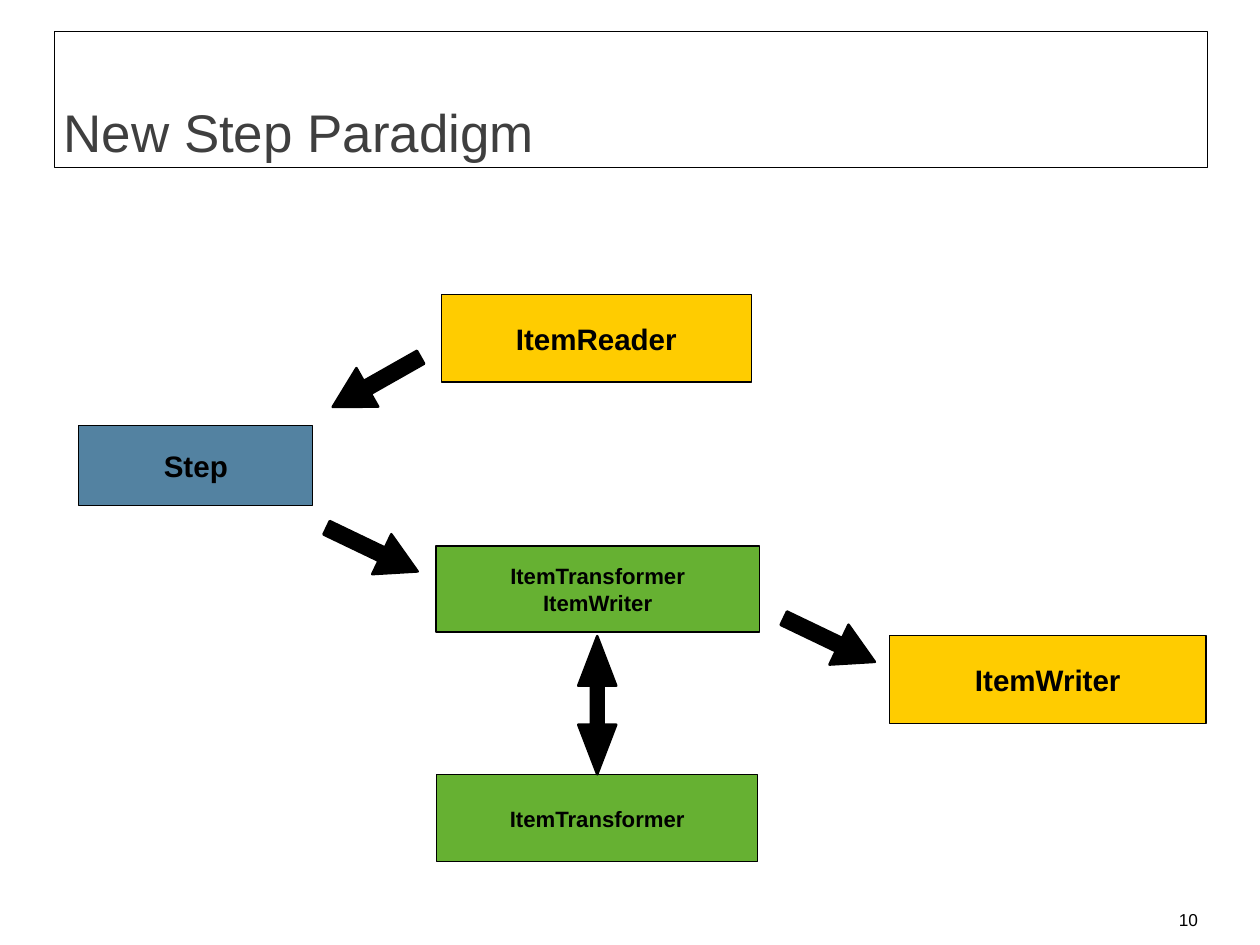
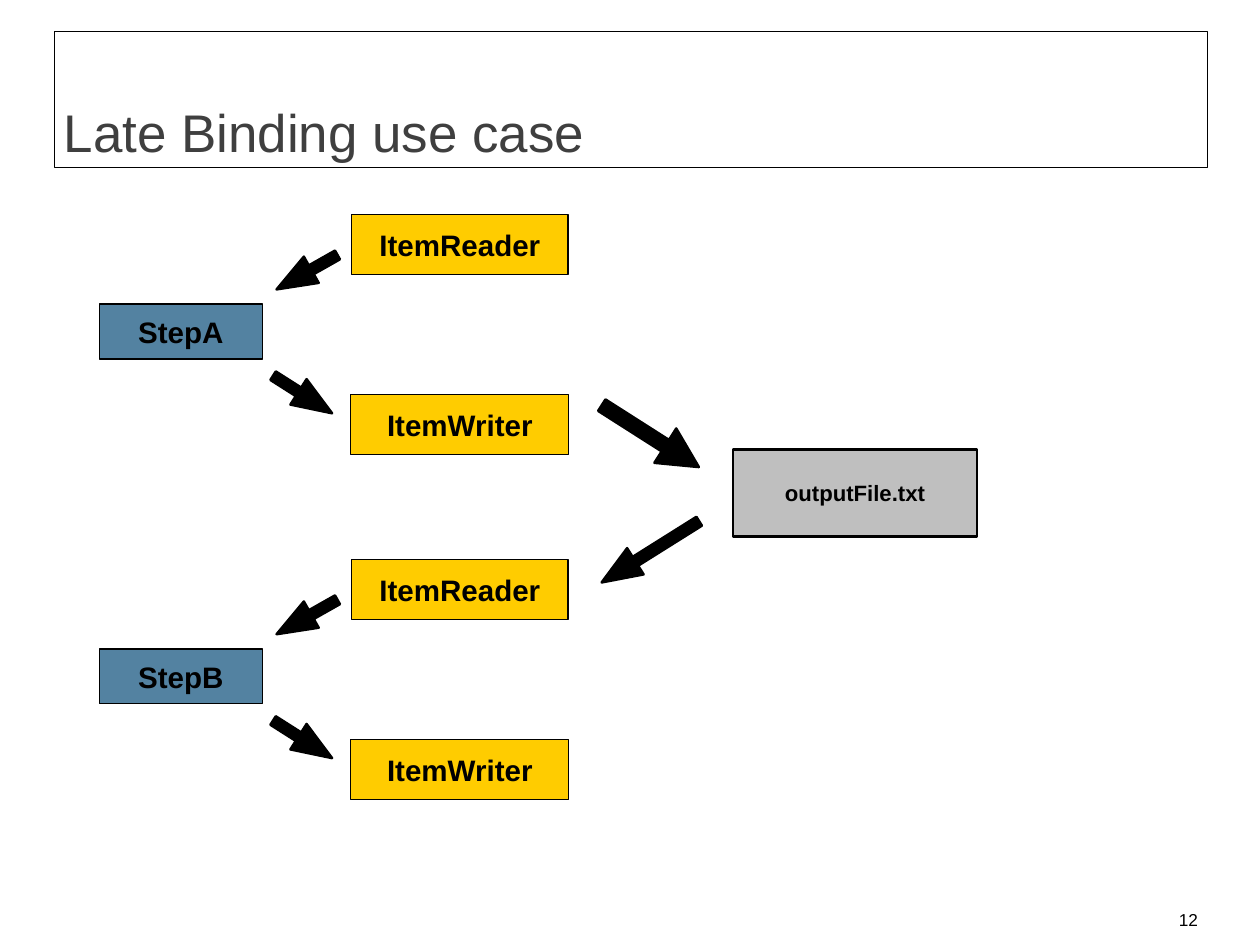
from pptx import Presentation
from pptx.dml.color import RGBColor
from pptx.enum.shapes import MSO_SHAPE as Shape
from pptx.enum.text import MSO_ANCHOR as Anchor, PP_ALIGN as Align
from pptx.util import Inches, Pt

FONT = "Arial"
BLACK, WHITE, TITLE_GREY = "000000", "FFFFFF", "3F3F3F"
BLUE, YELLOW, GREEN, GREY = "5382A1", "FFCC00", "66B132", "BFBFBF"
SLIDE_WIDTH, SLIDE_HEIGHT = 14.22, 10.66
TITLE_BOX = (0.62, 0.36, 13.01, 1.53)
NUMBER_BOX = (12.62, 10.21, 1, 0.33)
SHAFT_RATIO = 0.335
HEAD_LENGTH = 0.45


def rgb(value):
    return RGBColor.from_string(value)


def add_outlined(page, kind, box, fill, line_width):
    shape = page.shapes.add_shape(kind, *map(Inches, box))
    shape.shadow.inherit = False
    shape.fill.solid()
    shape.fill.fore_color.rgb = rgb(fill)
    shape.line.color.rgb = rgb(BLACK)
    shape.line.width = Pt(line_width)
    return shape


def write(shape, text, size, color=BLACK, bold=False, align=Align.CENTER,
          anchor=Anchor.MIDDLE, insets=(0, 0, 0, 0)):
    frame = shape.text_frame
    frame.word_wrap = True
    frame.vertical_anchor = anchor
    (frame.margin_left, frame.margin_top,
     frame.margin_right, frame.margin_bottom) = map(Inches, insets)
    frame.text = text
    for para in frame.paragraphs:
        para.alignment = align
        for span in para.runs:
            span.font.name = FONT
            span.font.size = Pt(size)
            span.font.bold = bold
            span.font.color.rgb = rgb(color)


def add_page(deck, title, number):
    """Add a blank slide with the shared title frame and page number."""
    page = deck.slides.add_slide(deck.slide_layouts[6])
    frame = add_outlined(page, Shape.RECTANGLE, TITLE_BOX, WHITE, 0.75)
    write(frame, title, 43, TITLE_GREY, align=Align.LEFT,
          anchor=Anchor.BOTTOM, insets=(0.1, 0.05, 0.06, 0.05))
    number_box = page.shapes.add_textbox(*map(Inches, NUMBER_BOX))
    write(number_box, str(number), 14, align=Align.RIGHT, anchor=Anchor.TOP,
          insets=(0.1, 0.05, 0.1, 0.05))
    return page


def add_node(page, text, box, fill, size=24, line_width=1):
    node = add_outlined(page, Shape.RECTANGLE, box, fill, line_width)
    write(node, text, size, bold=True)


def add_arrow(page, box, angle, kind=Shape.RIGHT_ARROW, head=HEAD_LENGTH):
    """Add a block arrow; box is its frame before it is turned by angle."""
    arrow = add_outlined(page, kind, box, BLACK, 2)
    arrow.adjustments[0] = SHAFT_RATIO
    arrow.adjustments[1] = head / box[3]
    arrow.rotation = angle


def add_step_flow(page, left, top, step):
    """Add a step with its reader above and its writer below."""
    add_node(page, step, (left, top + 1.01, 1.84, 0.62), BLUE)
    add_node(page, "ItemReader", (left + 2.85, top, 2.44, 0.68), YELLOW)
    add_node(page, "ItemWriter", (left + 2.84, top + 2.03, 2.46, 0.68), YELLOW)
    add_arrow(page, (left + 1.95, top + 0.48, 0.79, 0.34), 150.5)
    add_arrow(page, (left + 1.9, top + 1.86, 0.79, 0.34), 32.5)


def add_file_exchange(page, left, top):
    """Add the shared file with the arrows leading to it and from it."""
    add_node(page, "outputFile.txt", (left + 1.58, top + 0.38, 2.76, 0.98),
             GREY, size=18, line_width=2)
    add_arrow(page, (left, top, 1.3, 0.46), 32.5)
    add_arrow(page, (left, top + 1.36, 1.3, 0.35), 147.9)


def build_step_paradigm(deck):
    page = add_page(deck, "New Step Paradigm", 10)
    add_node(page, "Step", (0.89, 4.8, 2.64, 0.9), BLUE)
    add_node(page, "ItemWriter", (10.04, 7.17, 3.57, 0.99), YELLOW)
    add_node(page, "ItemReader", (4.98, 3.32, 3.5, 0.99), YELLOW)
    add_node(page, "ItemTransformer\nItemWriter", (4.92, 6.16, 3.65, 0.97),
             GREEN, size=18)
    add_node(page, "ItemTransformer", (4.93, 8.74, 3.62, 0.98), GREEN, size=18)
    for left, top, angle in ((3.68, 4.06, 150.5), (3.63, 5.95, 25.6),
                             (8.79, 6.97, 25.6)):
        add_arrow(page, (left, top, 1.14, 0.5), angle)
    add_arrow(page, (5.96, 7.74, 1.56, 0.43), 90,
              Shape.LEFT_RIGHT_ARROW, head=0.56)


def build_late_binding(deck):
    page = add_page(deck, "Late Binding use case", 12)
    for top, step in ((2.42, "StepA"), (6.31, "StepB")):
        add_step_flow(page, 1.12, top, step)
    add_file_exchange(page, 6.69, 4.69)


def main():
    deck = Presentation()
    deck.slide_width = Inches(SLIDE_WIDTH)
    deck.slide_height = Inches(SLIDE_HEIGHT)
    build_step_paradigm(deck)
    build_late_binding(deck)
    deck.save("out.pptx")


if __name__ == "__main__":
    main()
